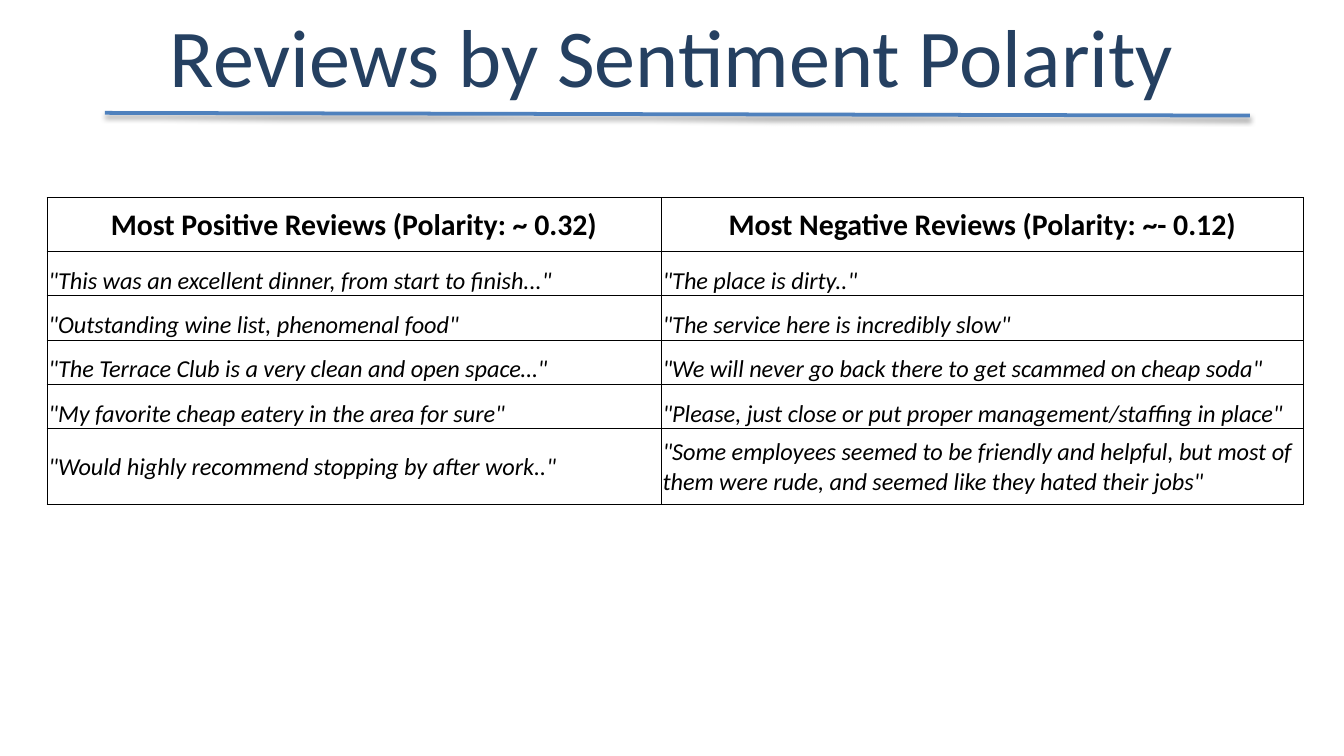
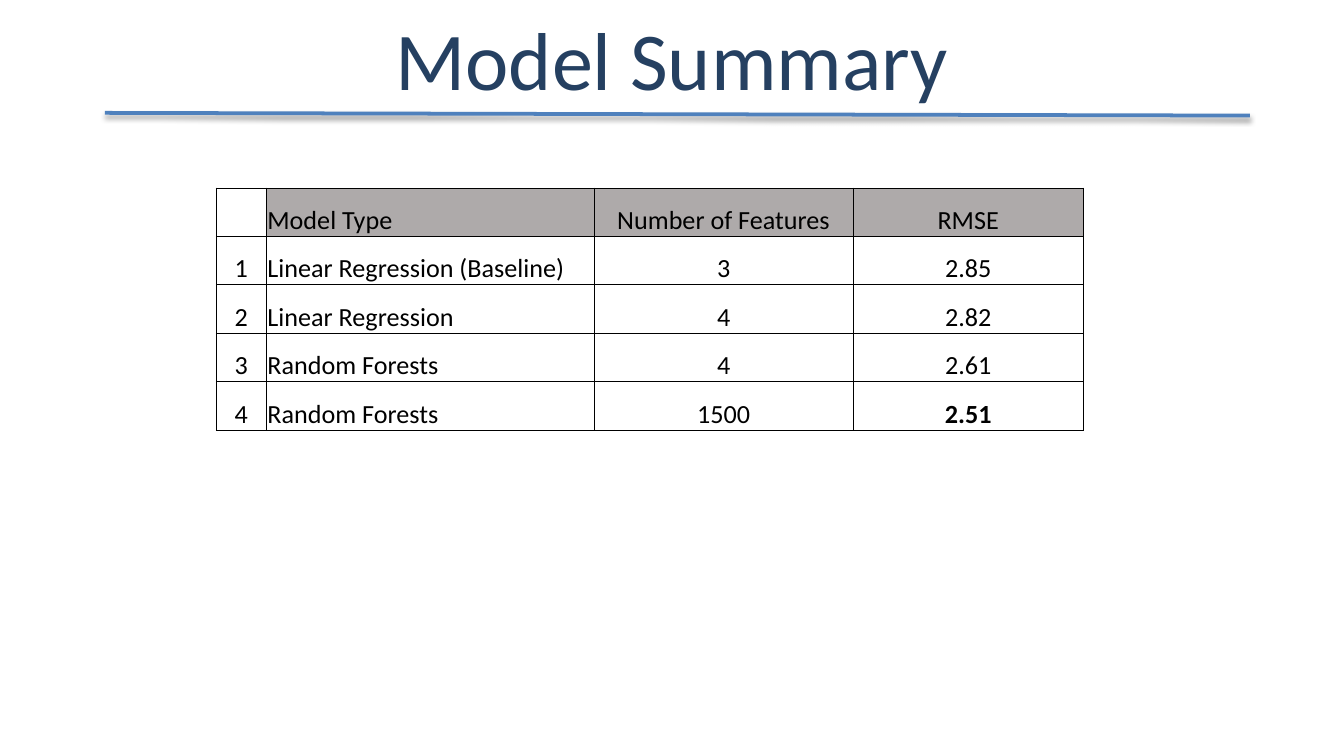
from lxml import etree
from pptx import Presentation
from pptx.dml.color import RGBColor
from pptx.enum.shapes import MSO_CONNECTOR
from pptx.enum.text import MSO_ANCHOR, PP_ALIGN
from pptx.oxml import parse_xml
from pptx.oxml.ns import nsdecls, qn
from pptx.util import Inches, Pt

LEFT, CENTER = PP_ALIGN.LEFT, PP_ALIGN.CENTER
MIDDLE, BOTTOM = MSO_ANCHOR.MIDDLE, MSO_ANCHOR.BOTTOM
STRAIGHT = MSO_CONNECTOR.STRAIGHT
SLIDE_WIDTH = 10
SLIDE_HEIGHT = SLIDE_WIDTH * 9 / 16
FONT = "Calibri"
COLORS = {"title": "254061", "rule": "4F81BD", "text": "000000", "header": "AEAAAA"}
BORDER_SIDES = ("a:lnL", "a:lnR", "a:lnT", "a:lnB")

REVIEWS = [
    ("Most Positive Reviews (Polarity: ~ 0.32)", "Most Negative Reviews (Polarity: ~- 0.12)"),
    ('"This was an excellent dinner, from start to finish..."', '"The place is dirty.."'),
    ('"Outstanding wine list, phenomenal food"', '"The service here is incredibly slow"'),
    ('"The Terrace Club is a very clean and open space…"',
     '"We will never go back there to get scammed on cheap soda"'),
    ('"My favorite cheap eatery in the area for sure"',
     '"Please, just close or put proper management/staffing in place"'),
    ('"Would highly recommend stopping by after work.."',
     '"Some employees seemed to be friendly and helpful, but most of them were rude, '
     'and seemed like they hated their jobs"'),
]
MODELS = [
    ("", "Model Type", "Number of Features", "RMSE"),
    ("1", "Linear Regression (Baseline)", "3", "2.85"),
    ("2", "Linear Regression", "4", "2.82"),
    ("3", "Random Forests", "4", "2.61"),
    ("4", "Random Forests", "1500", "2.51"),
]


def write_text(frame, text, size, color="text", align=LEFT, bold=False, italic=False, before=0):
    paragraph = frame.paragraphs[0]
    paragraph.alignment = align
    paragraph.space_before = Pt(before)
    run = paragraph.add_run()
    run.text = text
    run.font.name = FONT
    run.font.size = Pt(size)
    run.font.bold = bold
    run.font.italic = italic
    run.font.color.rgb = RGBColor.from_string(COLORS[color])


def add_title(slide, text, top):
    box = slide.shapes.add_textbox(Inches(0.69), Inches(top), Inches(8.62), Inches(0.86))
    frame = box.text_frame
    frame.word_wrap = True
    frame.vertical_anchor = MIDDLE
    write_text(frame, text, 44, color="title", align=CENTER, before=10)


def add_title_rule(slide):
    rule = slide.shapes.add_connector(STRAIGHT, Inches(0.78), Inches(0.84), Inches(9.3), Inches(0.86))
    rule.line.color.rgb = RGBColor.from_string(COLORS["rule"])
    rule.line.width = Pt(2)
    rule._element.spPr.append(parse_xml(
        f'<a:effectLst {nsdecls("a")}><a:outerShdw blurRad="{Pt(3.1)}" dist="{Pt(1.6)}" '
        'dir="5400000" rotWithShape="0"><a:srgbClr val="000000"><a:alpha val="38000"/>'
        '</a:srgbClr></a:outerShdw></a:effectLst>'))


def add_slide(presentation, title, title_top):
    slide = presentation.slides.add_slide(presentation.slide_layouts[6])
    add_title(slide, title, title_top)
    add_title_rule(slide)
    return slide


def style_cell(cell, fill=None, anchor=BOTTOM):
    cell.margin_left = cell.margin_right = cell.margin_top = Inches(0.01)
    cell.margin_bottom = 0
    cell.vertical_anchor = anchor
    properties = cell._tc.get_or_add_tcPr()
    for side in BORDER_SIDES:
        border = etree.SubElement(properties, qn(side), w=str(Pt(0.5)))
        solid = etree.SubElement(border, qn("a:solidFill"))
        etree.SubElement(solid, qn("a:srgbClr"), val=COLORS["text"])
    if fill:
        cell.fill.solid()
        cell.fill.fore_color.rgb = RGBColor.from_string(COLORS[fill])
    else:
        cell.fill.background()


def add_grid(slide, left, top, widths, heights):
    frame = slide.shapes.add_table(len(heights), len(widths), Inches(left), Inches(top),
                                   Inches(sum(widths)), Inches(sum(heights)))
    table = frame.table
    table.first_row = table.horz_banding = False
    for column, width in zip(table.columns, widths):
        column.width = Inches(width)
    for row, height in zip(table.rows, heights):
        row.height = Inches(height)
    return table


def add_reviews_table(slide):
    table = add_grid(slide, 0.35, 1.47, [4.57, 4.78], [0.4] + [0.33] * 4 + [0.56])
    last = len(REVIEWS) - 1
    for row, reviews in enumerate(REVIEWS):
        header = row == 0
        for column, text in enumerate(reviews):
            cell = table.cell(row, column)
            style_cell(cell, anchor=MIDDLE if row in (0, last) else BOTTOM)
            write_text(cell.text_frame, text, 16 if header else 13,
                       align=CENTER if header else LEFT, bold=header, italic=not header)


def add_models_table(slide):
    table = add_grid(slide, 1.61, 1.4, [0.37, 2.44, 1.93, 1.71], [0.36] * len(MODELS))
    best = MODELS[-1][-1]
    for row, values in enumerate(MODELS):
        for column, text in enumerate(values):
            cell = table.cell(row, column)
            style_cell(cell, fill="header" if row == 0 and text else None)
            if text:
                write_text(cell.text_frame, text, 14, align=LEFT if column == 1 else CENTER,
                           bold=text == best)


def main():
    presentation = Presentation()
    presentation.slide_width = Inches(SLIDE_WIDTH)
    presentation.slide_height = Inches(SLIDE_HEIGHT)
    add_reviews_table(add_slide(presentation, "Reviews by Sentiment Polarity", -0.02))
    add_models_table(add_slide(presentation, "Model Summary", 0))
    presentation.save("out.pptx")


main()
